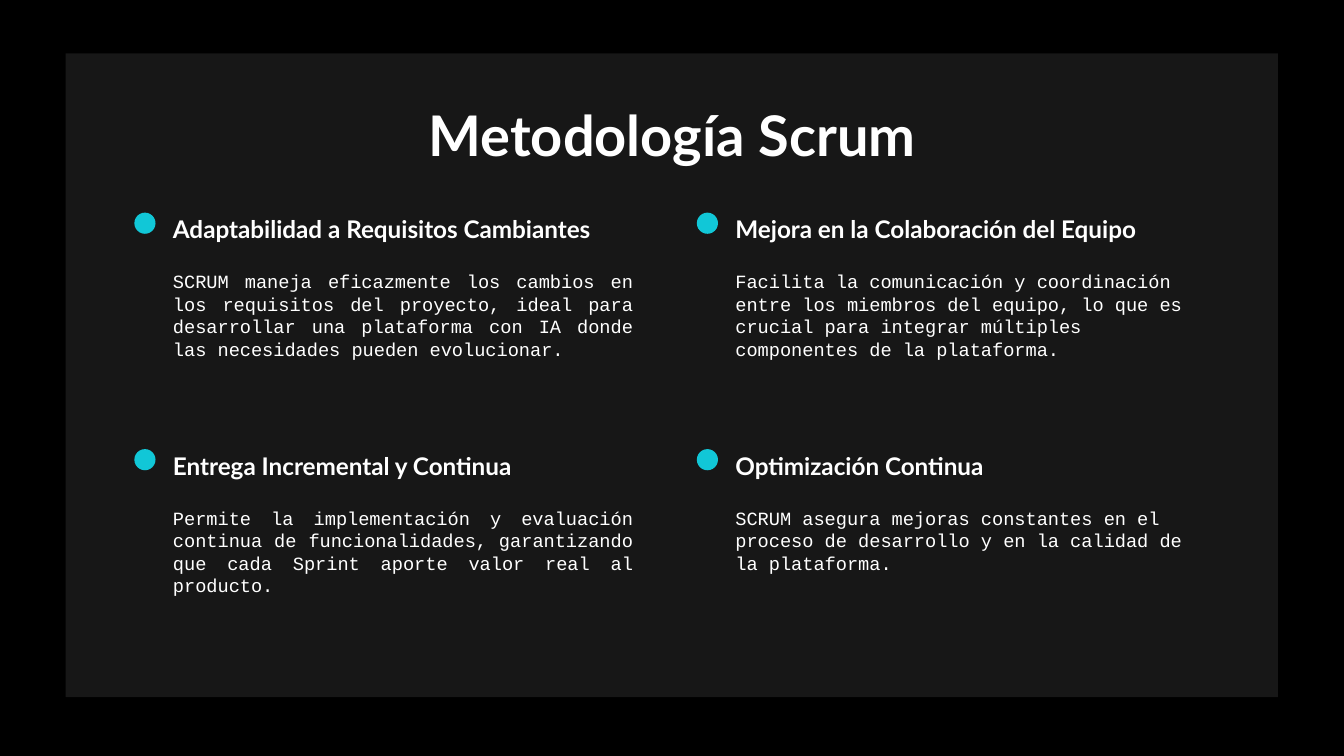
from pptx import Presentation
from pptx.dml.color import RGBColor
from pptx.enum import shapes, text
from pptx.util import Cm, Pt

BLACK = RGBColor(0x00, 0x00, 0x00)
CHARCOAL = RGBColor(0x17, 0x17, 0x17)
WHITE = RGBColor(0xFF, 0xFF, 0xFF)
CYAN = RGBColor(0x11, 0xC7, 0xD7)

LEFT, CENTER, JUSTIFY = (
    text.PP_ALIGN.LEFT, text.PP_ALIGN.CENTER, text.PP_ALIGN.JUSTIFY)
TOP, BOTTOM = text.MSO_ANCHOR.TOP, text.MSO_ANCHOR.BOTTOM


class ScrumSlide:
    heading_font = "Lato"
    body_font = "Courier New"
    inset = Cm(0.25)

    def __init__(self, slide):
        self.slide = slide
        fill = slide.background.fill
        fill.solid()
        fill.fore_color.rgb = BLACK

    def shape(self, kind, color, left, top, width, height):
        shape = self.slide.shapes.add_shape(
            kind, Cm(left), Cm(top), Cm(width), Cm(height))
        shape.shadow.inherit = False
        shape.fill.solid()
        shape.fill.fore_color.rgb = color
        shape.line.fill.background()

    def label(self, words, left, top, width, height, size, font,
              bold=False, align=LEFT, anchor=TOP):
        box = self.slide.shapes.add_textbox(
            Cm(left), Cm(top), Cm(width), Cm(height))
        frame = box.text_frame
        frame.word_wrap = True
        frame.vertical_anchor = anchor
        frame.margin_left = frame.margin_right = self.inset
        frame.margin_top = frame.margin_bottom = self.inset
        paragraph = frame.paragraphs[0]
        paragraph.text = words
        paragraph.alignment = align
        paragraph.font.name = font
        paragraph.font.size = Pt(size)
        paragraph.font.bold = bold
        paragraph.font.color.rgb = WHITE

    def title(self, words):
        self.label(words, 2, 1.65, 21.41, 1.6, 30, self.heading_font,
                   bold=True, align=CENTER)

    def benefit(self, left, top, heading, description, align):
        self.shape(shapes.MSO_SHAPE.OVAL, CYAN, left, top + 0.48, 0.4, 0.4)
        self.label(heading, left + 0.48, top, 9.19, 1.32, 13,
                   self.heading_font, bold=True, anchor=BOTTOM)
        self.label(description, left + 0.48, top + 1.32, 9.19, 3.25, 10,
                   self.body_font, align=align)


# Each row runs from left to right
BENEFITS = [
    [("Adaptabilidad a Requisitos Cambiantes",
      "SCRUM maneja eficazmente los cambios en los requisitos del proyecto, "
      "ideal para desarrollar una plataforma con IA donde las necesidades "
      "pueden evolucionar."),
     ("Mejora en la Colaboración del Equipo",
      "Facilita la comunicación y coordinación entre los miembros del "
      "equipo, lo que es crucial para integrar múltiples componentes de la "
      "plataforma.")],
    [("Entrega Incremental y Continua",
      "Permite la implementación y evaluación continua de funcionalidades, "
      "garantizando que cada Sprint aporte valor real al producto."),
     ("Optimización Continua",
      "SCRUM asegura mejoras constantes en el proceso de desarrollo y en la "
      "calidad de la plataforma.")],
]


def main():
    presentation = Presentation()
    presentation.slide_width = Cm(25.4)
    presentation.slide_height = Cm(14.29)
    blank = presentation.slide_layouts[6]
    scrum = ScrumSlide(presentation.slides.add_slide(blank))

    # Panel and title
    scrum.shape(shapes.MSO_SHAPE.RECTANGLE, CHARCOAL,
                1.24, 1.01, 22.91, 12.17)
    scrum.title("Metodología Scrum")

    # Grid of benefits: the left column is justified
    for row, benefits in enumerate(BENEFITS):
        for column, (heading, description) in enumerate(benefits):
            scrum.benefit(2.54 + column * 10.63, 3.54 + row * 4.47,
                          heading, description,
                          LEFT if column else JUSTIFY)

    presentation.save("out.pptx")


if __name__ == "__main__":
    main()
